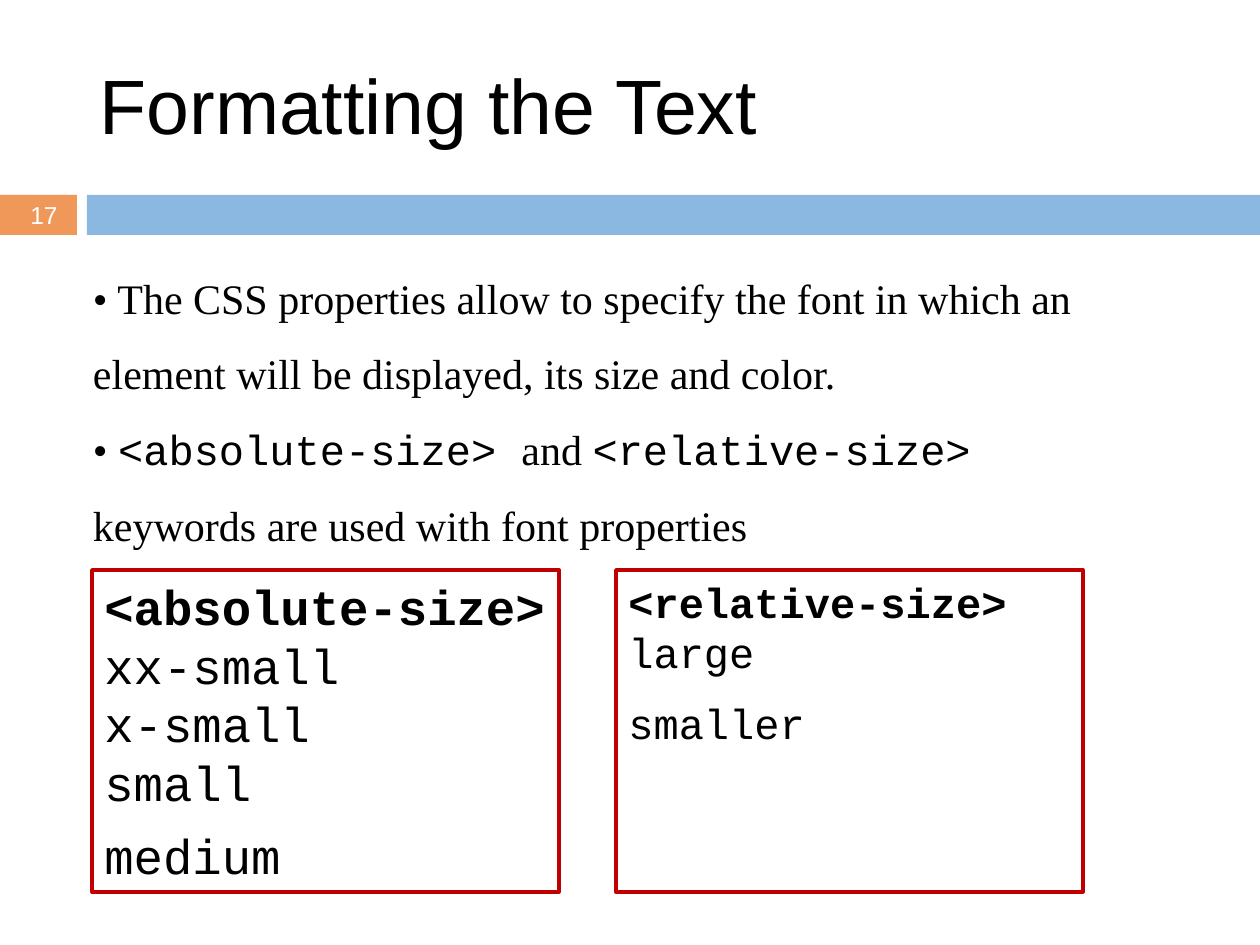
from dataclasses import dataclass

from lxml.etree import SubElement
from pptx import Presentation
from pptx.dml.color import RGBColor
from pptx.enum.shapes import MSO_SHAPE
from pptx.enum.text import MSO_ANCHOR, PP_ALIGN
from pptx.oxml.ns import qn
from pptx.util import Emu, Pt


@dataclass(frozen=True)
class Theme:
    """Colours, fonts and type sizes of the slide."""

    ink: str = "000000"
    paper: str = "FFFFFF"
    blue: str = "5B9BD5"
    orange: str = "ED7D31"
    red: str = "C00000"
    sans: str = "Arial"
    serif: str = "Times New Roman"
    mono: str = "Courier New"
    title: int = 44
    body: int = 24
    number: int = 14
    spacer: int = 36


THEME = Theme()
BREAK = "\n"


def px(length):
    """Turn pixels into EMU."""
    return Emu(round(length * 914400 / 126))


def style(font, name, size, color=THEME.ink):
    """Set the typeface, size and colour of a font."""
    font.name = name
    font.size = Pt(size)
    font.color.rgb = RGBColor.from_string(color)


def add_text(paragraph, text):
    """Append runs to a paragraph, with a line break for each newline, and return them."""
    runs = []
    for index, line in enumerate(text.split(BREAK)):
        if index:
            paragraph.add_line_break()
        if line:
            run = paragraph.add_run()
            run.text = line
            runs.append(run)
    return runs


def add_bar(slide, left, width, color, opacity):
    """Add one translucent piece of the band below the title."""
    bar = slide.shapes.add_shape(MSO_SHAPE.RECTANGLE, px(left), px(195), px(width), px(40))
    bar.shadow.inherit = False
    bar.line.fill.background()
    bar.fill.solid()
    bar.fill.fore_color.rgb = RGBColor.from_string(color)
    color_element = bar._element.spPr.find(qn("a:solidFill"))[0]
    SubElement(color_element, qn("a:alpha")).set("val", str(opacity * 1000))


def set_title(slide, text):
    """Place and format the title placeholder."""
    title = slide.shapes.title
    title.left, title.top, title.width, title.height = px(87), px(50), px(1086), px(120)
    title.text_frame.vertical_anchor = MSO_ANCHOR.MIDDLE
    paragraph = title.text_frame.paragraphs[0]
    paragraph.text = text
    paragraph.alignment = PP_ALIGN.LEFT
    paragraph.line_spacing = 0.9
    style(paragraph.font, THEME.sans, THEME.title)


def add_page_number(slide, number):
    """Add the slide number on the orange bar."""
    box = slide.shapes.add_textbox(px(6), px(190), px(64), px(50))
    box.text_frame.word_wrap = True
    box.text_frame.vertical_anchor = MSO_ANCHOR.MIDDLE
    paragraph = box.text_frame.paragraphs[0]
    paragraph.text = number
    paragraph.alignment = PP_ALIGN.RIGHT
    style(paragraph.font, THEME.sans, THEME.number, THEME.paper)


def add_body(slide, pieces):
    """Add the body text from pairs of text and typeface."""
    box = slide.shapes.add_textbox(px(73), px(241), px(1086), px(567))
    frame = box.text_frame
    frame.word_wrap = True
    frame.margin_left = px(20)
    frame.margin_right = px(20)
    paragraph = frame.paragraphs[0]
    paragraph.line_spacing = 1.5
    paragraph.space_before = Pt(10)
    style(paragraph.font, THEME.serif, THEME.body)
    for text, typeface in pieces:
        for run in add_text(paragraph, text):
            style(run.font, typeface, THEME.body)


def add_keyword_box(slide, left, heading, keywords, size):
    """Add a red outlined box with a bold heading and its keywords."""
    box = slide.shapes.add_shape(MSO_SHAPE.RECTANGLE, px(left), px(570), px(467), px(322))
    box.shadow.inherit = False
    box.fill.background()
    box.line.color.rgb = RGBColor.from_string(THEME.red)
    box.line.width = Pt(2)
    frame = box.text_frame
    frame.word_wrap = True
    frame.vertical_anchor = MSO_ANCHOR.TOP
    paragraph = frame.paragraphs[0]
    paragraph.alignment = PP_ALIGN.LEFT
    style(paragraph.font, THEME.mono, size)
    for run in add_text(paragraph, BREAK.join([heading, *keywords])):
        style(run.font, THEME.mono, size)
        run.font.bold = run.text == heading
    for run in add_text(paragraph, " "):
        style(run.font, THEME.mono, THEME.spacer)


def main():
    """Build the slide and save it."""
    presentation = Presentation()
    presentation.slide_width, presentation.slide_height = px(1260), px(945)
    slide = presentation.slides.add_slide(presentation.slide_layouts[5])
    add_bar(slide, 87, 1173, THEME.blue, 70)
    add_bar(slide, 0, 77, THEME.orange, 80)
    set_title(slide, "Formatting the Text")
    add_body(slide, [
        ("• The CSS properties allow to specify the font in which an element "
         "will be displayed, its size and color.\n• ", THEME.serif),
        ("<absolute-size> ", THEME.mono),
        ("and ", THEME.serif),
        ("<relative-size> ", THEME.mono),
        ("keywords are used with font properties", THEME.serif),
    ])
    add_page_number(slide, "17")
    add_keyword_box(slide, 92, "<absolute-size>", ["xx-small", "x-small", "small", "medium"], 28)
    add_keyword_box(slide, 616, "<relative-size>", ["large", "smaller"], 24)
    presentation.save("out.pptx")


main()
